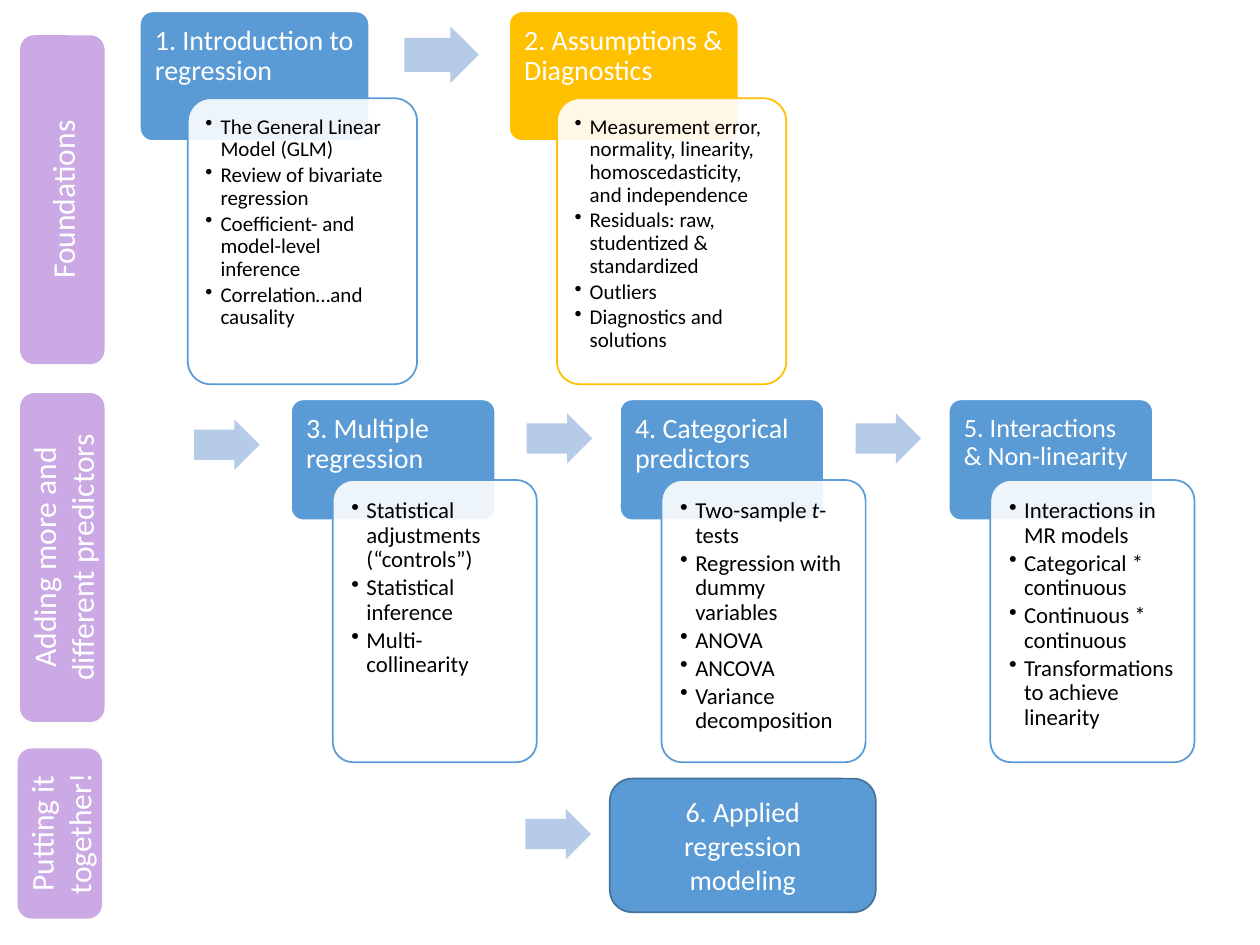
import pptx
import pptx.util
import pptx.dml.color
import pptx.enum.shapes
import pptx.enum.text
import pptx.oxml.ns
import lxml.etree

Inches, Pt = pptx.util.Inches, pptx.util.Pt
KIND = pptx.enum.shapes.MSO_SHAPE
ALIGN = pptx.enum.text.PP_ALIGN
ANCHOR = pptx.enum.text.MSO_ANCHOR
qn = pptx.oxml.ns.qn

HUES = {"blue": "5B9BD5", "gold": "FFC000", "edge": "43739E", "arrow": "B5CBE7",
        "purple": "CBA9E5", "white": "FFFFFF", "black": "000000"}

# Each card: title, title size, colour, bullets; _x_ marks italics
BASICS = [
    ("1. Introduction to regression", 16, "blue",
     ["The General Linear Model (GLM)", "Review of bivariate regression",
      "Coefficient- and model-level inference", "Correlation…and causality"]),
    ("2. Assumptions & Diagnostics", 16, "gold",
     ["Measurement error, normality, linearity, homoscedasticity, and independence",
      "Residuals: raw, studentized & standardized", "Outliers",
      "Diagnostics and solutions"]),
]
MODELS = [
    ("3. Multiple regression", 16, "blue",
     ["Statistical adjustments (“controls”)", "Statistical inference",
      "Multi-collinearity"]),
    ("4. Categorical predictors", 16, "blue",
     ["Two-sample _t_-tests", "Regression with dummy variables", "ANOVA",
      "ANCOVA", "Variance decomposition"]),
    ("5. Interactions & Non-linearity", 15, "blue",
     ["Interactions in MR models", "Categorical * continuous",
      "Continuous * continuous", "Transformations to achieve linearity"]),
]
STAGES = [("Foundations", 0.16, 0.28, 2.61),
          ("Adding more and different predictors", 0.16, 3.12, 2.61),
          ("Putting it together!", 0.14, 5.94, 1.35)]


def color(name):
    return pptx.dml.color.RGBColor.from_string(HUES[name])


def write(frame, lines, size=16, hue="white", align=ALIGN.LEFT, anchor=ANCHOR.TOP,
          inset=(0.1, 0.05, 0.1, 0.05), lead=None, after=0, bullet=False, turn=None):
    """Fill a text frame with one paragraph per line."""
    frame.word_wrap = True
    frame.vertical_anchor = anchor
    (frame.margin_left, frame.margin_top,
     frame.margin_right, frame.margin_bottom) = map(Inches, inset)
    if turn:
        frame._txBody.bodyPr.set("vert", turn)
    for i, line in enumerate(lines):
        para = frame.paragraphs[0] if i == 0 else frame.add_paragraph()
        para.alignment = align
        para.space_after = Pt(after)
        if lead:
            para.line_spacing = lead
        if bullet:
            para.level = 1
            props = para._p.get_or_add_pPr()
            props.set("marL", str(Inches(0.12)))
            props.set("indent", str(-Inches(0.12)))
            lxml.etree.SubElement(props, qn("a:buChar")).set("char", "•")
        for j, part in enumerate(line.split("_")):
            run = para.add_run()
            run.text = part
            font = run.font
            font.name, font.size, font.color.rgb = "Calibri", Pt(size), color(hue)
            if j % 2:
                font.italic = True


def shape(shapes, kind, box, fill, line=None, adjust=(), alpha=None):
    item = shapes.add_shape(kind, *map(Inches, box))
    item.shadow.inherit = False
    item.fill.solid()
    item.fill.fore_color.rgb = color(fill)
    if alpha:
        tint = item.fill._xPr.find(".//" + qn("a:srgbClr"))
        lxml.etree.SubElement(tint, qn("a:alpha")).set("val", str(alpha * 1000))
    if line:
        item.line.color.rgb = color(line)
        item.line.width = Pt(1)
    else:
        item.line.fill.background()
    for i, value in enumerate(adjust):
        item.adjustments[i] = value
    return item


def label(shapes, box, lines, **form):
    write(shapes.add_textbox(*map(Inches, box)).text_frame, lines, **form)


def arrow(shapes, x, y, w=0.52, h=0.4):
    shape(shapes, KIND.RIGHT_ARROW, (x, y, w, h), "arrow", adjust=(0.6, 0.5))


def card(shapes, x, y, data, wide, high, head, shift, tall, size, pad):
    title, big, hue, points = data
    shape(shapes, KIND.ROUNDED_RECTANGLE, (x, y, wide, high), hue, "white", (0.1,))
    label(shapes, (x, y, wide, head), [title], size=big, lead=0.9,
          after=round(0.35 * big, 1), inset=(0.12, 0.12, 0.12, 0.07))
    left, top, gap = x + shift, y + head, 0.05
    shape(shapes, KIND.ROUNDED_RECTANGLE, (left, top, wide, tall), "white", hue,
          (0.1,), alpha=90)
    label(shapes, (left + gap, top + gap, wide - 2 * gap, tall - 2 * gap), points,
          size=size, hue="black", lead=0.9, after=round(0.15 * size, 1),
          inset=(pad,) * 4, bullet=True)


def chain(slide, cards, x, y, step, tip, **form):
    """Draw a row of cards with an arrow between neighbours."""
    shapes = slide.shapes.add_group_shape().shapes
    for i, data in enumerate(cards):
        left = x + i * step
        if i:
            dx, dy, w, h = tip
            arrow(shapes, left - step + dx, y + dy, w, h)
        card(shapes, left, y, data, **form)


def main():
    deck = pptx.Presentation()
    deck.slide_width, deck.slide_height = Inches(10), Inches(7.5)
    slide = deck.slides.add_slide(deck.slide_layouts[6])
    shapes = slide.shapes

    # Card rows
    chain(slide, BASICS, 1.11, 0.09, 2.93, (2.1, 0.12, 0.59, 0.45), wide=1.82,
          high=1.03, head=0.69, shift=0.38, tall=2.27, size=12, pad=0.09)
    chain(slide, MODELS, 2.31, 3.17, 2.61, (1.87, 0.11, 0.52, 0.4), wide=1.62,
          high=0.96, head=0.64, shift=0.33, tall=2.24, size=13, pad=0.1)

    # Final step and the arrows that lead into rows
    last = shape(shapes, KIND.ROUNDED_RECTANGLE, (4.84, 6.18, 2.11, 1.06), "blue", "edge")
    write(last.text_frame, ["6. Applied regression modeling"], align=ALIGN.CENTER,
          anchor=ANCHOR.MIDDLE)
    arrow(shapes, 1.54, 3.33)
    arrow(shapes, 4.17, 6.42)

    # Stage labels
    for name, x, y, tall in STAGES:
        stage = shape(shapes, KIND.ROUNDED_RECTANGLE, (x, y, 0.67, tall), "purple")
        write(stage.text_frame, [name], size=18, align=ALIGN.CENTER,
              anchor=ANCHOR.MIDDLE, turn="vert270")

    deck.save("out.pptx")


main()
